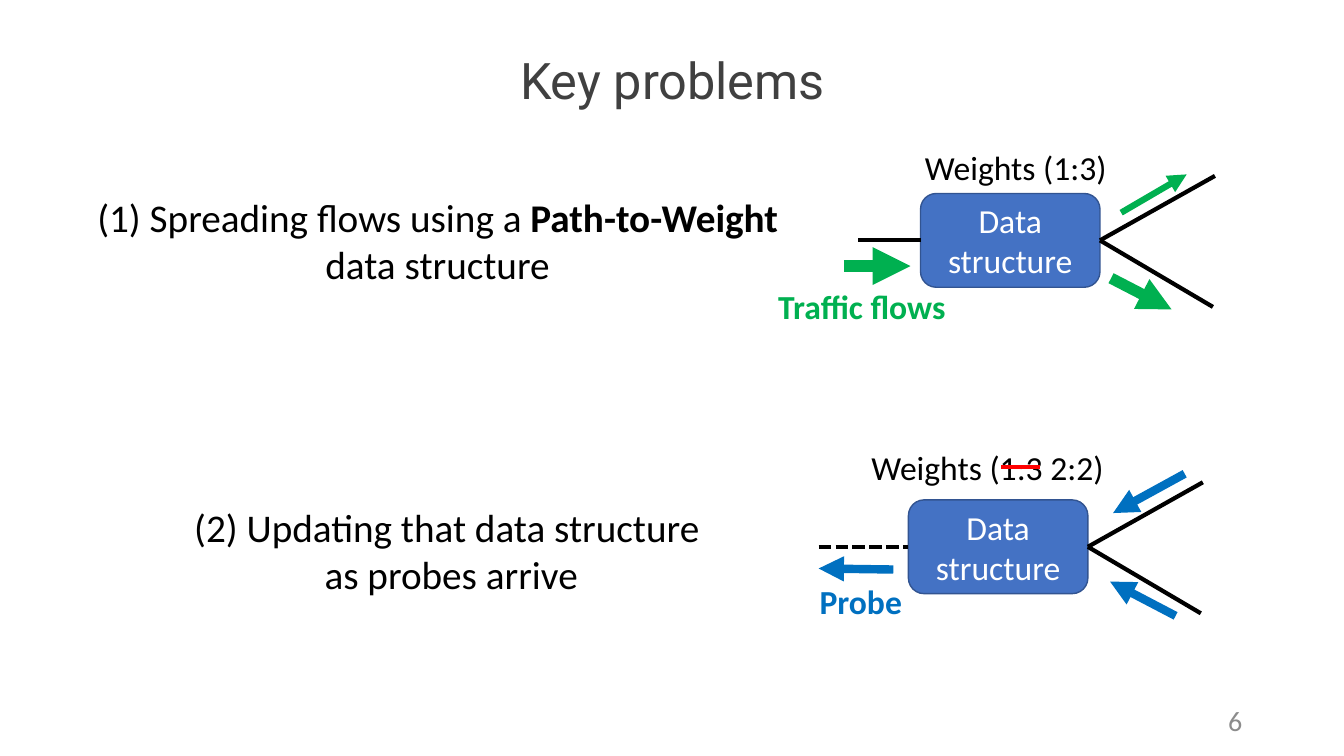
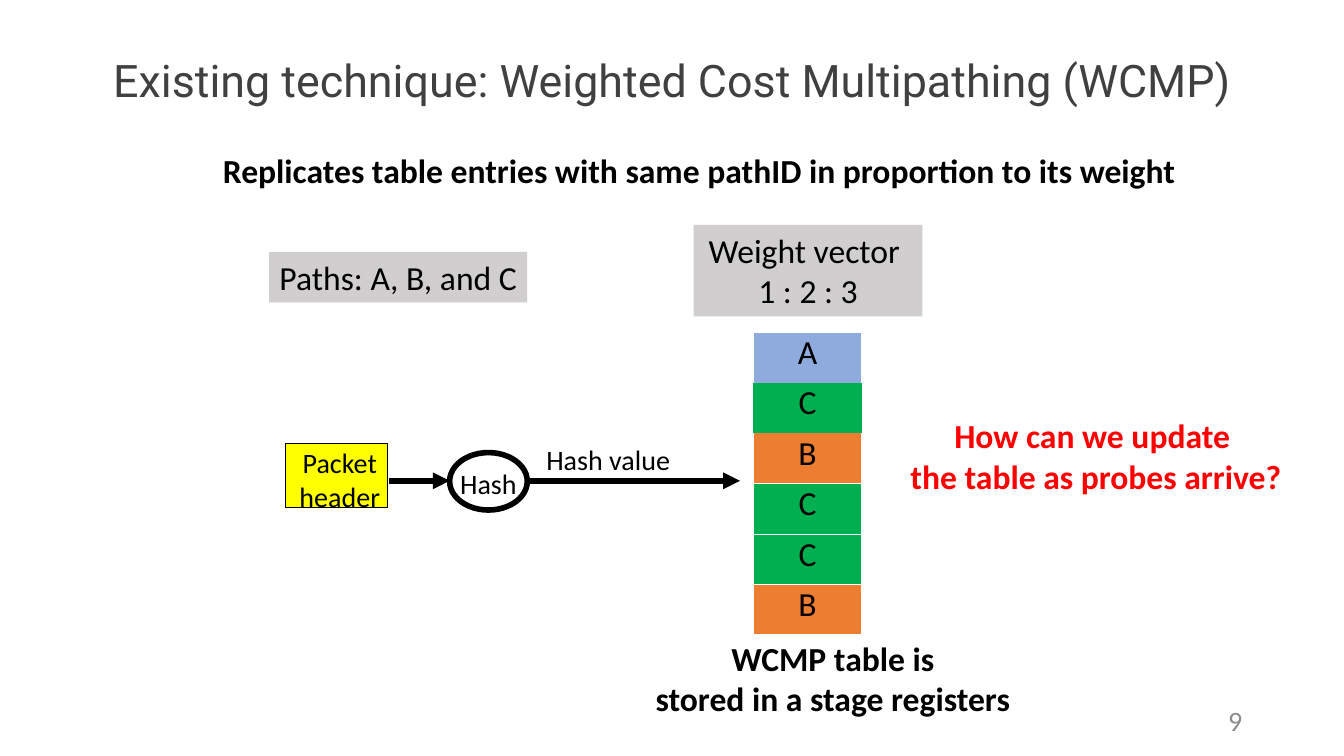
from lxml import etree
from pptx import Presentation
from pptx.dml.color import RGBColor
from pptx.enum.dml import MSO_LINE
from pptx.enum.shapes import MSO_CONNECTOR, MSO_SHAPE
from pptx.enum.text import MSO_ANCHOR, PP_ALIGN
from pptx.oxml.ns import qn
from pptx.util import Inches, Pt

LEFT, CENTER, RIGHT = PP_ALIGN.LEFT, PP_ALIGN.CENTER, PP_ALIGN.RIGHT
TOP, MIDDLE = MSO_ANCHOR.TOP, MSO_ANCHOR.MIDDLE
RECT, ROUNDED, OVAL = MSO_SHAPE.RECTANGLE, MSO_SHAPE.ROUNDED_RECTANGLE, MSO_SHAPE.OVAL
STRAIGHT, SYS_DASH = MSO_CONNECTOR.STRAIGHT, MSO_LINE.SQUARE_DOT
LEFT_SIDE, RIGHT_SIDE = 1, 3

COLORS = {
    "text": "000000", "title": "404040", "number": "8C8C8C", "white": "FFFFFF",
    "structure": "4472C4", "structure_edge": "325491", "traffic": "00B050",
    "probe": "0070C0", "alert": "FF0000", "label": "D0CECE", "packet": "FFFF00",
    "A": "8FAADC", "B": "ED7D31", "C": "00B050",
}
BODY_FONT, TITLE_FONT = "Calibri", "Roboto"

# Content: each problem has a statement and a diagram; a flow is (from, to, width)
BOX_SIZE = (1.78, 0.93)
BRANCHES = [(1.14, -0.64), (1.12, 0.66)]
PROBLEMS = [
    {
        "statement": [[("(1) Spreading flows using a ", False),
                       ("Path-to-Weight", True), (" data structure", False)]],
        "statement_at": (0.81, 1.87, 7.06, 1.04),
        "box": (9.13, 1.92), "inlet": 8.51, "dashed": False,
        "weights": "Weights (1:3)", "weights_at": (8.6, 1.41, 2.95, 0.5),
        "flow_name": "Traffic flows", "flow_at": (7.62, 2.79, 1.89, 0.5),
        "color": "traffic",
        "flows": [((11.12, 2.11), (11.77, 1.73), 4.5),
                  ((8.37, 2.64), (9.03, 2.64), 9),
                  ((11.02, 2.76), (11.62, 3.07), 8)],
    },
    {
        "statement": ["(2) Updating that data structure ", "as probes arrive"],
        "statement_at": (1.16, 4.94, 6.63, 1.04),
        "box": (9.01, 4.96), "inlet": 8.12, "dashed": True,
        "weights": "Weights (1:3 2:2)", "weights_at": (8.16, 4.38, 3.27, 0.5),
        "flow_name": "Probe", "flow_at": (8.03, 5.71, 1.3, 0.5),
        "color": "probe",
        "flows": [((11.75, 4.7), (11.04, 5.09), 6),
                  ((11.66, 6.11), (11.01, 5.77), 6),
                  ((8.86, 5.65), (8.12, 5.64), 6)],
    },
]
STRIKE = ((9.93, 4.63), (10.32, 4.63))

TABLE_ENTRIES = ["A", "C", "B", "C", "C", "B"]
BARE_SIDES = {0: ["lnB"], 1: ["lnL", "lnR", "lnT", "lnB"], 2: ["lnT"]}
TABLE_AT, ENTRY_SIZE = (7.47, 3.3), (1.08, 0.5)
HASH_Y = 4.77
HASH_STEPS = [(3.86, 4.46), (5.23, 7.34)]
LABELS = [
    (["Weight vector ", "1 : 2 : 3"], (6.88, 2.23, 2.27, 0.91)),
    (["Paths: A, B, and C"], (2.67, 2.5, 2.56, 0.5)),
]
STATEMENTS = [
    (["Replicates table entries with same pathID in proportion to its weight"],
     (2.06, 1.44, 9.75, 0.5), "text"),
    (["WCMP table is", "stored in a stage registers"],
     (6.34, 6.28, 3.84, 0.91), "text"),
    (["How can we update ", "the table as probes arrive?"],
     (8.91, 4.07, 3.92, 0.91), "alert"),
]


def rgb(name):
    return RGBColor.from_string(COLORS[name])


def inches(values):
    return [Inches(v) for v in values]


def write(frame, paragraphs, size=24, color="text", bold=False, align=CENTER,
          anchor=TOP, font=BODY_FONT, wrap=True):
    """Fill a frame; a paragraph is a string or a list of (text, bold) runs."""
    frame.word_wrap = wrap
    frame.vertical_anchor = anchor
    for index, content in enumerate(paragraphs):
        paragraph = frame.add_paragraph() if index else frame.paragraphs[0]
        paragraph.alignment = align
        runs = [(content, bold)] if isinstance(content, str) else content
        for words, heavy in runs:
            run = paragraph.add_run()
            run.text = words
            run.font.name, run.font.size, run.font.bold = font, Pt(size), heavy
            run.font.color.rgb = rgb(color)


def add_text(slide, at, paragraphs, **style):
    frame = slide.shapes.add_textbox(*inches(at)).text_frame
    write(frame, paragraphs, **style)
    return frame


def add_box(slide, kind, at, fill=None, edge=None, edge_width=1):
    box = slide.shapes.add_shape(kind, *inches(at))
    box.shadow.inherit = False
    if fill:
        box.fill.solid()
        box.fill.fore_color.rgb = rgb(fill)
    else:
        box.fill.background()
    if edge:
        box.line.color.rgb = rgb(edge)
        box.line.width = Pt(edge_width)
    else:
        box.line.fill.background()
    return box


def add_line(slide, start, end, width=3, color="text", arrow=False):
    line = slide.shapes.add_connector(STRAIGHT, *inches(start + end))
    line.line.color.rgb = rgb(color)
    line.line.width = Pt(width)
    if arrow:
        etree.SubElement(line.line._get_or_add_ln(), qn("a:tailEnd"), type="triangle")
    etree.SubElement(line._element.spPr, qn("a:effectLst"))
    return line


def new_slide(deck, title, title_size, number):
    slide = deck.slides.add_slide(deck.slide_layouts[6])
    heading = add_text(slide, (0.92, 0.4, 11.5, 0.85), [title], size=title_size,
                       color="title", font=TITLE_FONT, anchor=MIDDLE)
    heading.paragraphs[0].line_spacing = 0.9
    add_text(slide, (9.42, 6.95, 3, 0.4), [number], size=20, color="number",
             align=RIGHT, anchor=MIDDLE)
    return slide


def draw_problem(slide, problem):
    left, top = problem["box"]
    width, height = BOX_SIZE
    right, middle = left + width, top + height / 2
    add_text(slide, problem["statement_at"], problem["statement"], size=28)

    # Data structure with its inlet and two outgoing paths
    structure = add_box(slide, ROUNDED, (left, top, width, height),
                        "structure", "structure_edge")
    write(structure.text_frame, ["Data structure"], color="white", anchor=MIDDLE)
    inlet = add_line(slide, (problem["inlet"], middle), (left, middle))
    inlet.end_connect(structure, LEFT_SIDE)
    if problem["dashed"]:
        inlet.line.dash_style = SYS_DASH
    for dx, dy in BRANCHES:
        branch = add_line(slide, (right, middle), (right + dx, middle + dy))
        branch.begin_connect(structure, RIGHT_SIDE)

    # Weights and flow arrows
    add_text(slide, problem["weights_at"], [problem["weights"]])
    for start, end, weight in problem["flows"]:
        add_line(slide, start, end, weight, problem["color"], arrow=True)
    add_text(slide, problem["flow_at"], [problem["flow_name"]],
             color=problem["color"], bold=True, align=LEFT)


def draw_wcmp_table(slide):
    width, height = ENTRY_SIZE
    count = len(TABLE_ENTRIES)
    table = slide.shapes.add_table(
        count, 1, *inches(TABLE_AT + (width, height * count))).table
    table.first_row = table.horz_banding = False
    for row, path_id in enumerate(TABLE_ENTRIES):
        cell = table.cell(row, 0)
        cell.margin_left = cell.margin_right = 0
        cell.margin_top = cell.margin_bottom = 0
        for side in BARE_SIDES.get(row, []):
            border = etree.SubElement(cell._tc.get_or_add_tcPr(), qn(f"a:{side}"))
            etree.SubElement(border, qn("a:noFill"))
        cell.fill.solid()
        cell.fill.fore_color.rgb = rgb(path_id)
        write(cell.text_frame, [path_id])


def draw_hashing(slide):
    add_box(slide, RECT, (2.83, 4.4, 1.01, 0.63), "packet", "text", 0.5)
    add_text(slide, (2.67, 4.37, 1.4, 0.77), ["Packet", "header"], size=20)
    hash_node = add_box(slide, OVAL, (4.46, 4.49, 0.77, 0.57), None, "text", 4)
    frame = hash_node.text_frame
    frame.margin_left = frame.margin_right = frame.margin_bottom = 0
    write(frame, ["Hash"], size=20, anchor=MIDDLE, wrap=False)
    for start, end in HASH_STEPS:
        add_line(slide, (start, HASH_Y), (end, HASH_Y), 4, arrow=True)
    add_text(slide, (5.32, 4.34, 1.44, 0.44), ["Hash value"], size=20,
             align=LEFT, wrap=False)


def main():
    deck = Presentation()
    deck.slide_width, deck.slide_height = Inches(13.33), Inches(7.5)

    # Key problems
    problems = new_slide(deck, "Key problems", 36, "6")
    for problem in PROBLEMS:
        draw_problem(problems, problem)
    add_line(problems, *STRIKE, color="alert")

    # Existing technique
    wcmp = new_slide(
        deck, "Existing technique: Weighted Cost Multipathing (WCMP)", 32, "9")
    draw_wcmp_table(wcmp)
    draw_hashing(wcmp)
    for paragraphs, at in LABELS:
        write(add_box(wcmp, RECT, at, "label").text_frame, paragraphs, wrap=False)
    for paragraphs, at, color in STATEMENTS:
        add_text(wcmp, at, paragraphs, color=color, bold=True)

    deck.save("out.pptx")


if __name__ == "__main__":
    main()
